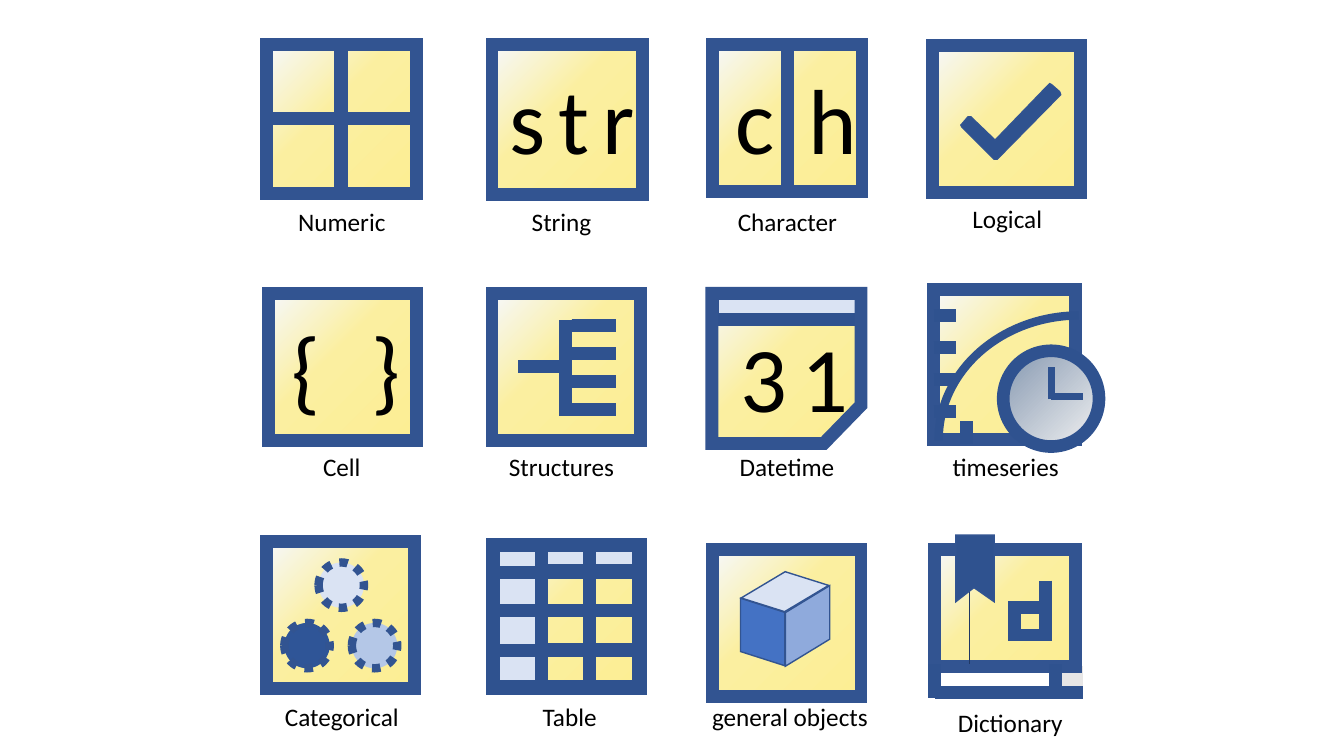
"""Draw a four by three chart of data type icons with captions."""
from copy import deepcopy
from dataclasses import dataclass

from pptx import Presentation
from pptx.dml.color import RGBColor
from pptx.enum.dml import MSO_LINE
from pptx.enum.shapes import MSO_CONNECTOR, MSO_SHAPE
from pptx.enum.text import MSO_ANCHOR, MSO_AUTO_SIZE, PP_ALIGN
from pptx.oxml.ns import qn
from pptx.oxml.xmlchemy import OxmlElement
from pptx.util import Inches, Pt

CELL = Inches(0.1)
COLUMNS = (26.5, 48.8, 70.7, 92.6)
ROWS = (4.4, 29.1, 53.7)


@dataclass(frozen=True)
class Theme:
    font: str = "Calibri"
    caption: float = 18
    glyph: float = 66
    tracking: int = 1000
    thick: float = 9.25
    medium: float = 9
    hand: float = 5
    thin: float = 1
    hairline: float = 0.5
    text: str = "000000"
    frame: str = "325491"
    ink: str = "2F528F"
    navy: str = "203864"
    pale: str = "DAE3F3"
    light: str = "B4C7E7"
    soft: str = "8FAADC"
    bright: str = "4472C4"
    deep: str = "2F5597"
    grey: str = "E7E6E6"
    white: str = "FFFFFF"
    paper: tuple = ((0, "F6F8FC"), (0.43, "FBEFA0"), (1, "FCEE94"))
    dial: tuple = ((0, "8497B0"), (1, "F2F2F2"))


THEME = Theme()


@dataclass(frozen=True)
class Figure:
    left: float
    top: float
    width: float
    height: float
    fill: str | tuple | None = None
    line: str | None = THEME.frame
    weight: float = THEME.thick
    kind: MSO_SHAPE = MSO_SHAPE.RECTANGLE
    adjust: tuple = ()
    rotation: float = 0
    flipped: bool = False
    dotted: bool = False


@dataclass(frozen=True)
class Outline:
    points: tuple
    fill: str | tuple | None = None
    line: str | None = THEME.frame
    weight: float = THEME.thick
    dotted: bool = False


@dataclass(frozen=True)
class Stroke:
    start: tuple
    end: tuple
    weight: float = THEME.thick
    line: str = THEME.ink
    dotted: bool = False


@dataclass(frozen=True)
class Words:
    text: str
    left: float
    top: float
    width: float
    height: float = 4
    glyph: bool = False


@dataclass(frozen=True)
class Icon:
    column: int
    row: int
    pieces: tuple


def paint_fill(shape, fill: str | tuple | None) -> None:
    """Apply a solid colour, a gradient or no fill."""
    if fill is None:
        shape.fill.background()
    elif isinstance(fill, str):
        shape.fill.solid()
        shape.fill.fore_color.rgb = RGBColor.from_string(fill)
    else:
        shape.fill.gradient()
        shape.fill.gradient_angle = 315
        stops = shape._element.spPr.find(qn("a:gradFill")).find(qn("a:gsLst"))
        for _ in fill[2:]:
            stops.append(deepcopy(stops[0]))
        for stop, (position, colour) in zip(shape.fill.gradient_stops, fill):
            stop.position = position
            stop.color.rgb = RGBColor.from_string(colour)


def paint_line(shape, piece: Figure | Outline | Stroke) -> None:
    """Apply a mitred line or none."""
    if piece.line is None:
        shape.line.fill.background()
        return
    shape.line.color.rgb = RGBColor.from_string(piece.line)
    shape.line.width = Pt(piece.weight)
    if piece.dotted:
        shape.line.dash_style = MSO_LINE.ROUND_DOT
    miter = OxmlElement("a:miter")
    miter.set("lim", "800000")
    shape._element.spPr.find(qn("a:ln")).append(miter)


def place(origin: tuple, point: tuple) -> tuple[int, ...]:
    """Turn icon cells into slide lengths."""
    return tuple(round((base + offset) * CELL) for base, offset in zip(origin, point))


def draw_figure(page, origin: tuple, piece: Figure) -> None:
    """Draw a preset shape."""
    shape = page.shapes.add_shape(piece.kind, *place(origin, (piece.left, piece.top)),
                                  *place((0, 0), (piece.width, piece.height)))
    for index, value in enumerate(piece.adjust):
        shape.adjustments[index] = value
    shape.rotation = piece.rotation
    if piece.flipped:
        shape._element.spPr.find(qn("a:xfrm")).set("flipH", "1")
    finish(shape, piece)


def draw_outline(page, origin: tuple, piece: Outline) -> None:
    """Draw a closed polygon."""
    first, *others = [place(origin, point) for point in piece.points]
    builder = page.shapes.build_freeform(*first)
    builder.add_line_segments(others, close=True)
    finish(builder.convert_to_shape(), piece)


def finish(shape, piece: Figure | Outline) -> None:
    """Paint a closed shape without shadow."""
    shape.shadow.inherit = False
    paint_fill(shape, piece.fill)
    paint_line(shape, piece)


def draw_stroke(page, origin: tuple, piece: Stroke) -> None:
    """Draw a straight line without shadow."""
    line = page.shapes.add_connector(MSO_CONNECTOR.STRAIGHT,
                                     *place(origin, piece.start), *place(origin, piece.end))
    paint_line(line, piece)
    line._element.spPr.append(OxmlElement("a:effectLst"))


def draw_words(page, origin: tuple, piece: Words) -> None:
    """Write a caption or a large glyph."""
    box = page.shapes.add_textbox(*place(origin, (piece.left, piece.top)),
                                  *place((0, 0), (piece.width, piece.height)))
    frame = box.text_frame
    frame.word_wrap = False
    frame.auto_size = MSO_AUTO_SIZE.SHAPE_TO_FIT_TEXT
    frame.vertical_anchor = MSO_ANCHOR.MIDDLE if piece.glyph else MSO_ANCHOR.TOP
    para = frame.paragraphs[0]
    para.text = piece.text
    para.alignment = PP_ALIGN.CENTER
    para.font.name = THEME.font
    para.font.size = Pt(THEME.glyph if piece.glyph else THEME.caption)
    para.font.color.rgb = RGBColor.from_string(THEME.text)
    if piece.glyph:
        para._p.pPr.find(qn("a:defRPr")).set("spc", str(THEME.tracking))


def paper(left: float = 0, top: float = 0, width: float = 14.7, height: float = 14.6) -> Figure:
    """Describe a yellow ground."""
    return Figure(left, top, width, height, THEME.paper, None)


def tile(left: float = 0, top: float = 0) -> tuple[Figure, Figure]:
    """Describe a framed yellow ground."""
    return paper(left, top), Figure(left, top, 14.7, 14.6)


def glyph(text: str, left: float, width: float, top: float = 1.2) -> Words:
    """Describe large letters inside an icon."""
    return Words(text, left, top, width, 12.1, True)


def gear(left: float, top: float, fill: str) -> Figure:
    """Describe a dotted wheel."""
    return Figure(left, top, 4.5, 4.5, fill, weight=6, kind=MSO_SHAPE.OVAL, dotted=True)


def face(left: float, top: float, width: float, height: float, fill: str,
         slant: float, rotation: float, flipped: bool = False) -> Figure:
    """Describe one side of the cube."""
    return Figure(left, top, width, height, fill, THEME.frame, THEME.thin,
                  MSO_SHAPE.PARALLELOGRAM, (slant,), rotation, flipped)


def band(top: float, height: float = 3.8, fill: str | None = None) -> Figure:
    """Describe a full-width row in an icon."""
    return Figure(0, top, 14.7, height, fill, THEME.ink)


CHECK = ((11.5, 3.9), (11.7, 4), (12.5, 4.7), (12.6, 5), (12.5, 5.1), (6.3, 11.4), (6, 11.4),
         (2.8, 8.2), (2.7, 8), (2.8, 7.9), (3.4, 7.2), (3.7, 7.2), (6.1, 9.5), (11.4, 4))
RIBBON = ((2.2, -0.6), (6, -0.6), (6, 6), (4, 4.6), (2.2, 6))
LEAF = ((-0.1, 0), (14.7, 0), (14.7, 11.1), (11, 14.9), (-0.1, 14.9))

ICONS = (
    Icon(0, 0, (paper(), *(Figure(x, y, 7.4, 7.4) for y in (0, 7.4) for x in (-0.1, 7.4)),
                Words("Numeric", 2, 15.6, 10.8))),
    Icon(1, 0, (paper(), Figure(0, 0, 14.9, 14.9), glyph("str", -0.1, 16.1),
                Words("String", 2.9, 15.6, 8))),
    Icon(2, 0, (paper(), glyph("c", 0.5, 7.3), *(Figure(x, 0, 7.4, 14.6) for x in (0, 7.4)),
                glyph("h", 7.7, 8.3), Words("Character", 1.4, 15.6, 12))),
    Icon(3, 0, (*tile(-0.1, 0.1), Outline(CHECK, THEME.ink, weight=THEME.thin),
                Words("Logical", 2.8, 15.3, 9))),
    Icon(0, 1, (*tile(0.1), glyph("{", 0.7, 6.3), glyph("}", 8.6, 6.3),
                Words("Cell", 4.5, 15.2, 5.8))),
    Icon(1, 1, (*tile(), Stroke((2.6, 7.3), (6.9, 7.3)),
                *(Stroke((7.9, 3.2 + 2.78 * i), (12.3, 3.2 + 2.78 * i)) for i in range(4)),
                Stroke((7.3, 2.6), (7.3, 12.2)), Words("Structures", 0.6, 15.2, 12.6))),
    Icon(2, 1, (Outline(LEAF, THEME.paper, None), glyph("31", 1, 14.2, 2.1),
                band(0, 2.6, THEME.pale), Outline(LEAF), Words("Datetime", 1.6, 15.2, 11.5))),
    Icon(3, 1, (paper(0.1, -0.5, 14), Figure(0, -0.4, 14.1, 14.9), Stroke((3.3, 14.9), (3.3, 12.7)),
                *(Stroke((0, 2.2 + 3.17 * i), (2.2, 2.2 + 3.17 * i)) for i in range(4)),
                Figure(6.9, 5.7, 9.5, 9.5, THEME.dial, THEME.ink, THEME.medium, MSO_SHAPE.OVAL),
                Stroke((11.7, 10.5), (11.7, 7.3), THEME.hand),
                Stroke((11.6, 10.2), (14.8, 10.2), THEME.hand),
                Words("timeseries", 0.8, 15.2, 12.7),
                Figure(0.5, 2.2, 27.9, 24.6, None, THEME.ink, 6, MSO_SHAPE.ARC, (107.79, 161.83)))),
    Icon(0, 2, (*tile(-0.1), gear(5.1, 2.1, THEME.pale), gear(1.7, 8.1, THEME.deep),
                gear(8.4, 8.1, THEME.light), Words("Categorical", 0.7, 15.4, 13.4))),
    Icon(1, 2, (paper(), band(0.3, 2.6, THEME.pale), band(6.9),
                *(Figure(0.1 + 4.8 * i, 0.4, 4.8, 14, None if i else THEME.pale, THEME.ink)
                  for i in (2, 1, 0)),
                band(3.1), band(10.8), Words("Table", 4, 15.4, 7.4))),
    Icon(2, 2, (*tile(0, 0.8), face(1.6, 6.8, 6.7, 4.4, THEME.bright, 0.32, 90),
                face(5.4, 6.2, 8, 4.4, THEME.soft, 0.61, 270, True),
                face(3.2, 3.1, 7.9, 3.8, THEME.pale, 0.89, 17.5),
                Words("general objects", -1.2, 15.4, 17.7))),
    Icon(3, 2, (Figure(12.1, 12.4, 2.7, 2.3, THEME.grey, None), paper(0, 1, 14, 11.4),
                Figure(0.1, 12.4, 11.3, 2.1, THEME.white, None), Figure(0.1, 0.8, 14, 11.6),
                Stroke((14.8, 15), (0.1, 15)),
                *(Stroke((x, 15.5), (x, 12.2)) for x in (0.1, 12.1)),
                Stroke((11.1, 3.9), (11.1, 9.3), THEME.medium),
                Figure(8, 6.6, 3.1, 2.7, None, THEME.ink, THEME.medium),
                Stroke((3.5, 0), (3.5, 12.2), THEME.hairline, THEME.navy),
                Outline(RIBBON, THEME.ink, weight=THEME.thin), Words("Dictionary", 1.3, 16, 12.6))),
)
PAINTERS = {Figure: draw_figure, Outline: draw_outline, Stroke: draw_stroke, Words: draw_words}


def main() -> None:
    """Build and save the deck."""
    deck = Presentation()
    deck.slide_width, deck.slide_height = Inches(13.33), Inches(7.5)
    page = deck.slides.add_slide(deck.slide_layouts[6])
    for icon in ICONS:
        for piece in icon.pieces:
            PAINTERS[type(piece)](page, (COLUMNS[icon.column], ROWS[icon.row]), piece)
    deck.save("out.pptx")


if __name__ == "__main__":
    main()
